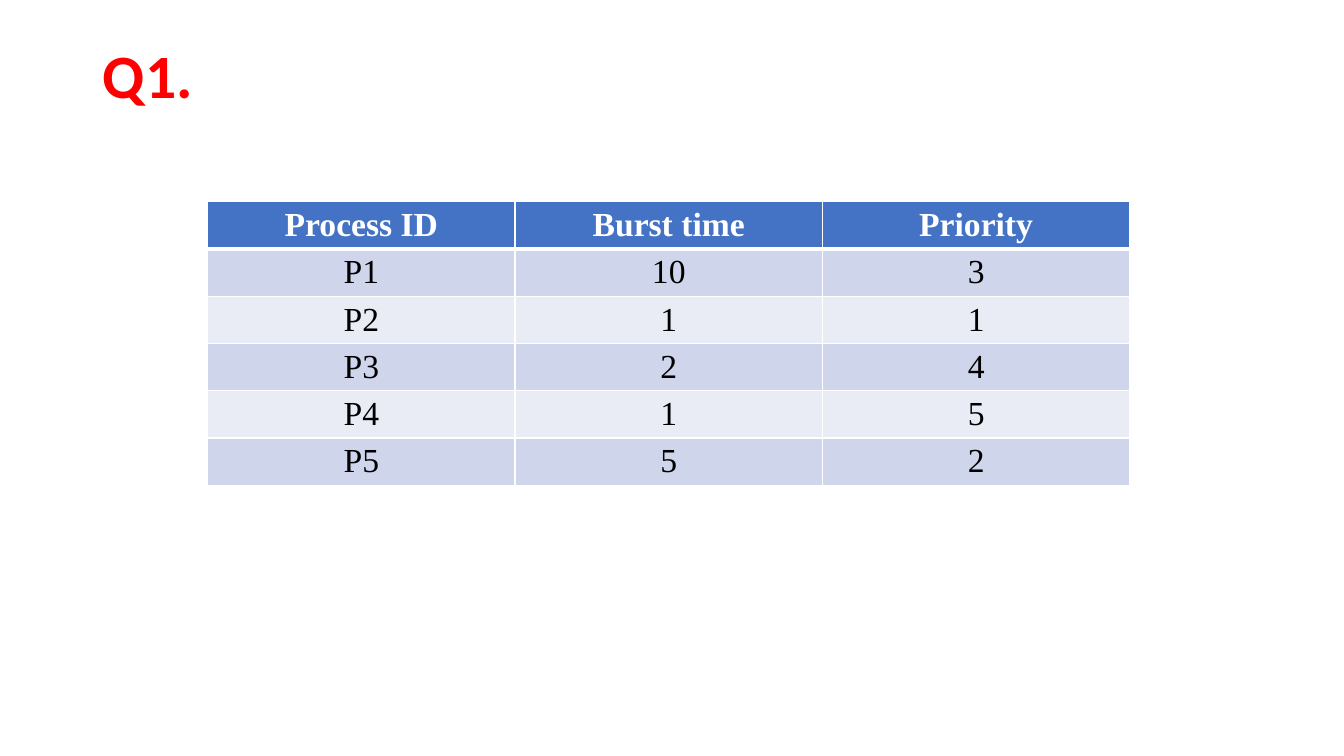
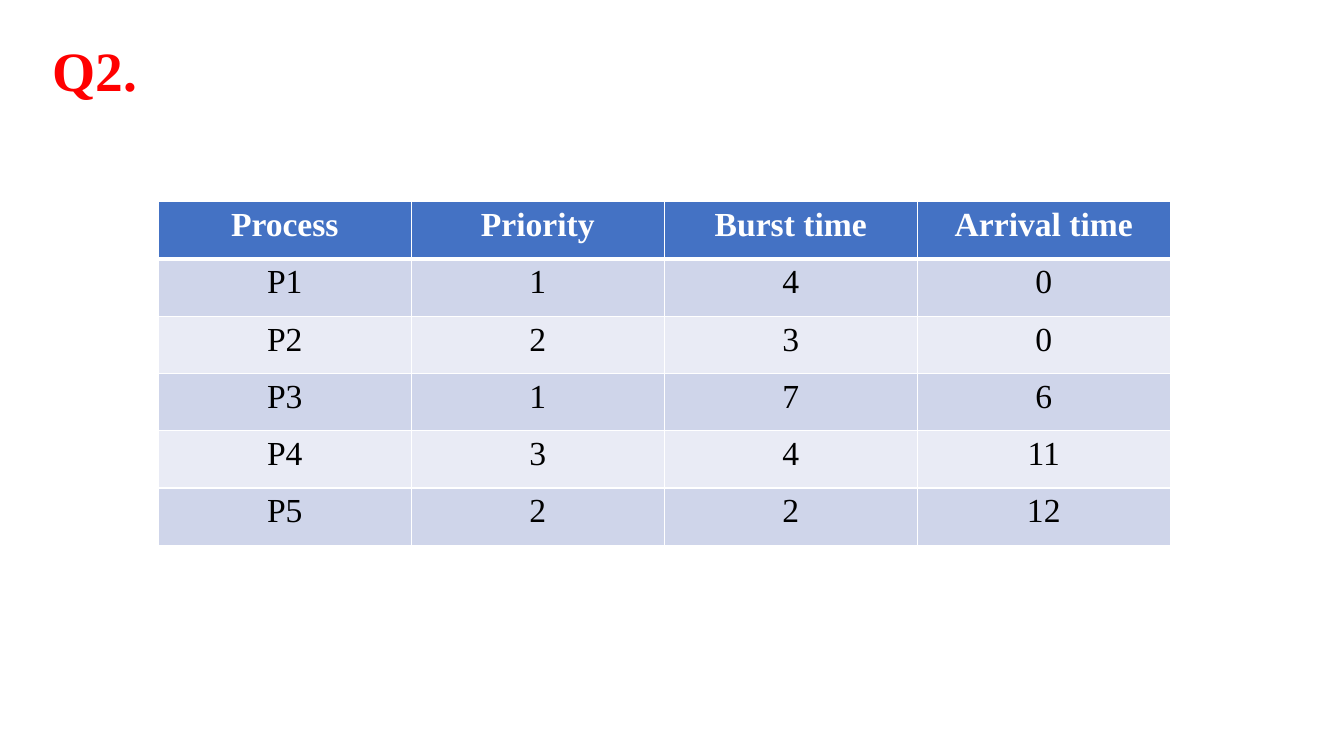
from lxml import etree
from pptx import Presentation
from pptx import util as u
from pptx.dml.color import RGBColor
from pptx.enum import text
from pptx.oxml import ns

SERIF = "Times New Roman"
TITLE_ONLY = 5


def rgb(value):
    return RGBColor.from_string(value)


class Deck:
    """Style and current slide; lengths are percentages of the slide's size."""

    RED, BLUE, WHITE, BLACK = "FF0000", "4472C4", "FFFFFF", "000000"
    BANDS = "CFD5EA", "E9EBF5"
    TOP, TABLE_TOP = 5.33, 26.67

    def __init__(self):
        self.prs = Presentation()
        self.prs.slide_width, self.prs.slide_height = u.Inches(13.333), u.Inches(7.5)
        self.s = None

    def x(self, share):
        return round(self.prs.slide_width * share / 100)

    def y(self, share):
        return round(self.prs.slide_height * share / 100)

    def font(self, p, name, size, color, bold):
        p.font.name, p.font.size, p.font.bold = name, u.Pt(size), bold
        p.font.color.rgb = rgb(color)

    def slide(self):
        self.s = self.prs.slides.add_slide(self.prs.slide_layouts[TITLE_ONLY])

    def title(self, words, left, width, height, name, size):
        sp = self.s.shapes.title
        sp.left, sp.top = self.x(left), self.y(self.TOP)
        sp.width, sp.height = self.x(width), self.y(height)
        tf = sp.text_frame
        tf.text = words
        tf.word_wrap, tf.auto_size = True, text.MSO_AUTO_SIZE.NONE
        tf.vertical_anchor = text.MSO_ANCHOR.MIDDLE
        p = tf.paragraphs[0]
        p.alignment, p.line_spacing = text.PP_ALIGN.LEFT, 0.9
        self.font(p, name, size, self.RED, True)

    def borders(self, cell, top, bottom):
        """Draw white cell borders; top and bottom are widths in points."""
        props = cell._tc.get_or_add_tcPr()
        widths = {"L": 1, "R": 1, "T": top, "B": bottom}
        for i, (side, width) in enumerate(widths.items()):
            ln = etree.Element(ns.qn(f"a:ln{side}"), w=str(u.Pt(width)))
            fill = etree.SubElement(ln, ns.qn("a:solidFill"))
            etree.SubElement(fill, ns.qn("a:srgbClr"), val=self.WHITE)
            props.insert(i, ln)

    def table(self, rows, left, width, row_height):
        frame = self.s.shapes.add_table(
            len(rows), len(rows[0]), self.x(left), self.y(self.TABLE_TOP),
            self.x(width), self.y(row_height) * len(rows))
        for i, row in enumerate(rows):
            head = i == 0
            for j, value in enumerate(row):
                cell = frame.table.cell(i, j)
                cell.text = str(value)
                cell.fill.solid()
                cell.fill.fore_color.rgb = rgb(self.BLUE if head else self.BANDS[(i - 1) % 2])
                self.borders(cell, top=3 if i == 1 else 1, bottom=3 if head else 1)
                p = cell.text_frame.paragraphs[0]
                p.alignment = text.PP_ALIGN.CENTER
                self.font(p, SERIF, 24, self.WHITE if head else self.BLACK, head)


def main():
    deck = Deck()

    deck.slide()
    deck.title("Q1.", 6.9, 86.25, 10.13, "Calibri", 44)
    deck.table([
        ("Process ID", "Burst time", "Priority"),
        ("P1", 10, 3),
        ("P2", 1, 1),
        ("P3", 2, 4),
        ("P4", 1, 5),
        ("P5", 5, 2),
    ], left=15.45, width=68.62, row_height=6.24)

    deck.slide()
    deck.title("Q2.", 3.15, 90, 8.93, SERIF, 39.6)
    deck.table([
        ("Process", "Priority", "Burst time", "Arrival time"),
        ("P1", 1, 4, 0),
        ("P2", 2, 3, 0),
        ("P3", 1, 7, 6),
        ("P4", 3, 4, 11),
        ("P5", 2, 2, 12),
    ], left=11.78, width=75.3, row_height=7.58)

    deck.prs.save("out.pptx")


if __name__ == "__main__":
    main()
